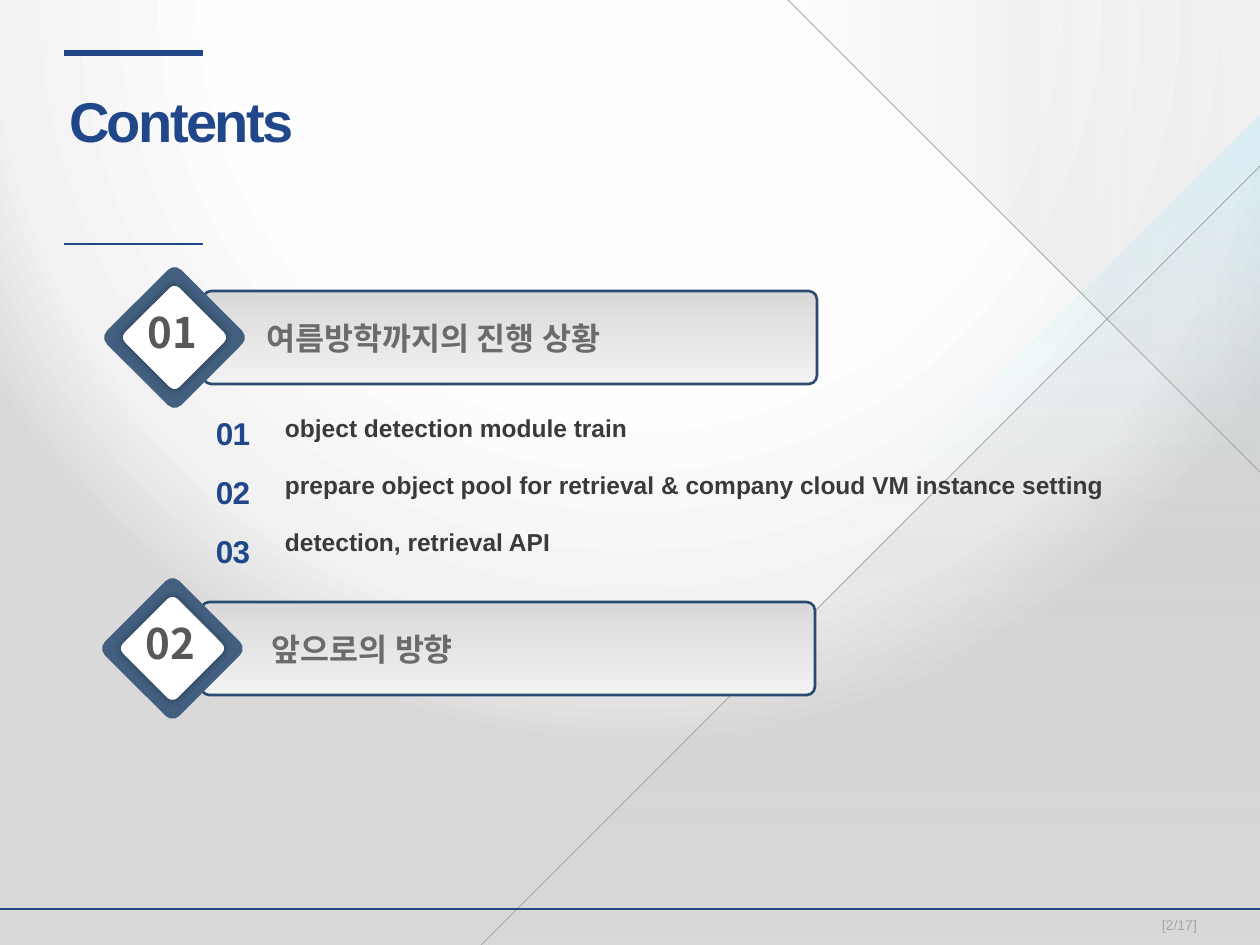
from dataclasses import dataclass

from lxml import etree
from pptx import Presentation
from pptx.dml.color import RGBColor
from pptx.enum.shapes import MSO_CONNECTOR, MSO_SHAPE
from pptx.enum.text import MSO_ANCHOR, PP_ALIGN
from pptx.oxml.ns import qn
from pptx.util import Emu, Pt

PX = 914400 / 126
STRAIGHT = MSO_CONNECTOR.STRAIGHT
ROUNDED = MSO_SHAPE.ROUNDED_RECTANGLE
TRIANGLE = MSO_SHAPE.RIGHT_TRIANGLE
TOP, MIDDLE = MSO_ANCHOR.TOP, MSO_ANCHOR.MIDDLE
LEFT, CENTER = PP_ALIGN.LEFT, PP_ALIGN.CENTER

NAVY = "1F4789"
GREY = "A6A6A6"


@dataclass
class Stop:
    position: int
    color: str
    opacity: int = 100


@dataclass
class Box:
    left: int
    top: int
    width: int
    height: int


@dataclass
class Style:
    size: int
    color: str
    bold: bool = True
    font: str = "Arial"
    tracking: float = 0
    line_spacing: float = 1
    space_before: int = 0
    align: PP_ALIGN = LEFT
    anchor: MSO_ANCHOR = MIDDLE


@dataclass
class Triangle:
    box: Box
    rotation: int
    stops: list[Stop]


@dataclass
class Rule:
    start: tuple[int, int]
    end: tuple[int, int]
    color: str
    weight: float


@dataclass
class Section:
    number: str
    title: str
    left: int
    top: int
    title_left: int


BACKGROUND = [Stop(0, "FFFFFF"), Stop(50, "FEFEFE"), Stop(80, "F2F2F2"), Stop(95, "D9D9D9")]
BAR_FILL = [Stop(1, "F2F2F2"), Stop(99, "D9D9D9")]
GREY_BAND = [Stop(0, "BFBFBF", 0), Stop(50, "BFBFBF", 20), Stop(100, "BFBFBF", 0)]
BLUE_BAND = [Stop(0, "BFBFBF", 0), Stop(50, "D0F3FE", 0), Stop(100, "A1E7FC", 30)]

TRIANGLES = [
    Triangle(Box(428, 113, 829, 834), 270, BLUE_BAND),
    Triangle(Box(481, 166, 779, 779), 270, GREY_BAND),
    Triangle(Box(788, 0, 472, 472), 180, GREY_BAND),
]
RULES = [
    Rule((481, 945), (1260, 166), GREY, 0.5),
    Rule((788, 0), (1260, 472), GREY, 0.5),
    Rule((0, 909), (1260, 909), NAVY, 1),
    Rule((64, 53), (203, 53), NAVY, 3),
    Rule((64, 244), (203, 244), NAVY, 1),
]
SECTIONS = [
    Section("01", "여름방학까지의 진행 상황", 203, 291, 252),
    Section("02", "앞으로의 방향", 201, 602, 257),
]
TOPICS = [
    "object detection module train",
    "prepare object pool for retrieval & company cloud VM instance setting",
    "detection, retrieval API",
]

TITLE = Style(32, NAVY, tracking=-1.5)
PAGE = Style(8, GREY, bold=False, align=CENTER)
SECTION_NUMBER = Style(24, "585858", font="Noto Sans CJK KR", align=CENTER)
SECTION_TITLE = Style(18, "6B6B6B")
TOPIC_NUMBER = Style(18, NAVY, tracking=-0.5, line_spacing=1.57, anchor=TOP)
TOPIC = Style(14, "3A3A3A", line_spacing=1.7, space_before=4, anchor=TOP)


def px(length: int) -> Emu:
    return Emu(round(length * PX))


def frame(box: Box) -> list[Emu]:
    return [px(length) for length in (box.left, box.top, box.width, box.height)]


def rgb(color: str) -> RGBColor:
    return RGBColor.from_string(color)


def add_color(parent, color: str, opacity: int) -> None:
    element = etree.SubElement(parent, qn("a:srgbClr"), val=color)
    if opacity < 100:
        etree.SubElement(element, qn("a:alpha"), val=str(opacity * 1000))


def set_stops(gradient, stops: list[Stop]) -> None:
    stop_list = gradient.find(qn("a:gsLst"))
    for old_stop in list(stop_list):
        stop_list.remove(old_stop)
    for stop in stops:
        element = etree.SubElement(stop_list, qn("a:gs"), pos=str(stop.position * 1000))
        add_color(element, stop.color, stop.opacity)


def fill_linear(shape, stops: list[Stop], angle: int) -> None:
    """Fill with a gradient whose angle runs clockwise in degrees."""
    shape.fill.gradient()
    shape.fill.gradient_angle = -angle % 360
    set_stops(shape._element.spPr.find(qn("a:gradFill")), stops)


def fill_background(slide) -> None:
    """Spread circles from a centre above the slide."""
    slide.background.fill.gradient()
    gradient = next(slide._element.iter(qn("a:gradFill")))
    set_stops(gradient, BACKGROUND)
    gradient.remove(gradient.find(qn("a:lin")))
    circle = etree.SubElement(gradient, qn("a:path"), path="circle")
    etree.SubElement(circle, qn("a:fillToRect"), l="50000", t="-80000", r="50000", b="180000")


def add_plain_shape(slide, kind: MSO_SHAPE, box: Box, rotation: int = 0):
    shape = slide.shapes.add_shape(kind, *frame(box))
    shape.rotation = rotation
    shape.shadow.inherit = False
    shape.line.fill.background()
    return shape


def add_rule(slide, rule: Rule) -> None:
    ends = [px(length) for length in (*rule.start, *rule.end)]
    connector = slide.shapes.add_connector(STRAIGHT, *ends)
    connector.line.color.rgb = rgb(rule.color)
    connector.line.width = Pt(rule.weight)
    etree.SubElement(connector._element.spPr, qn("a:effectLst"))


def add_text(slide, box: Box, lines: list[str], style: Style,
             insets: tuple[int, int, int, int] = (0, 0, 0, 0)) -> None:
    """Write one paragraph per line; insets are left, top, right, bottom."""
    text_frame = slide.shapes.add_textbox(*frame(box)).text_frame
    text_frame.word_wrap = True
    text_frame.vertical_anchor = style.anchor
    (text_frame.margin_left, text_frame.margin_top,
     text_frame.margin_right, text_frame.margin_bottom) = map(px, insets)
    text_frame.text = "\n".join(lines)
    for paragraph in text_frame.paragraphs:
        paragraph.alignment = style.align
        paragraph.line_spacing = style.line_spacing
        paragraph.space_before = Pt(style.space_before)
        font = paragraph.font
        font.name, font.size, font.bold = style.font, Pt(style.size), style.bold
        font.color.rgb = rgb(style.color)
        if style.tracking:
            font._element.set("spc", str(round(style.tracking * 100)))


def add_diamond(slide, box: Box, color: str):
    diamond = add_plain_shape(slide, ROUNDED, box, 45)
    diamond.adjustments[0] = 0.09
    diamond.fill.solid()
    diamond.fill.fore_color.rgb = rgb(color)
    return diamond


def add_section(slide, section: Section) -> None:
    left, top = section.left, section.top
    bar = add_plain_shape(slide, ROUNDED, Box(left, top, 614, 93))
    bar.adjustments[0] = 0.09
    fill_linear(bar, BAR_FILL, 270)
    bar.line.color.rgb = rgb("2A4A70")
    bar.line.width = Pt(1.5)

    add_diamond(slide, Box(left - 81, top - 6, 105, 105), "425F80")
    inner = add_diamond(slide, Box(left - 67, top + 8, 77, 77), "FFFFFF")
    effects = inner._element.spPr.find(qn("a:effectLst"))
    shadow = etree.SubElement(effects, qn("a:outerShdw"), blurRad=str(Pt(5)), dist="0")
    add_color(shadow, "000000", 40)

    add_text(slide, Box(left - 67, top + 14, 73, 54), [section.number], SECTION_NUMBER)
    add_text(slide, Box(section.title_left, top + 15, 668, 59), [section.title],
             SECTION_TITLE, (15, 15, 20, 10))


def main() -> None:
    presentation = Presentation()
    presentation.slide_width, presentation.slide_height = px(1260), px(945)
    slide = presentation.slides.add_slide(presentation.slide_layouts[6])
    fill_background(slide)
    for triangle in TRIANGLES:
        shape = add_plain_shape(slide, TRIANGLE, triangle.box, triangle.rotation)
        fill_linear(shape, triangle.stops, 0)
    for rule in RULES:
        add_rule(slide, rule)
    add_text(slide, Box(69, 76, 446, 89), ["Contents"], TITLE)
    add_text(slide, Box(1099, 912, 161, 25), ["[2/17]"], PAGE)
    for section in SECTIONS:
        add_section(slide, section)
    numbers = [f"{index:02}" for index in range(1, len(TOPICS) + 1)]
    add_text(slide, Box(216, 392, 69, 173), numbers, TOPIC_NUMBER)
    add_text(slide, Box(285, 392, 874, 178), TOPICS, TOPIC)
    presentation.save("out.pptx")


if __name__ == "__main__":
    main()
